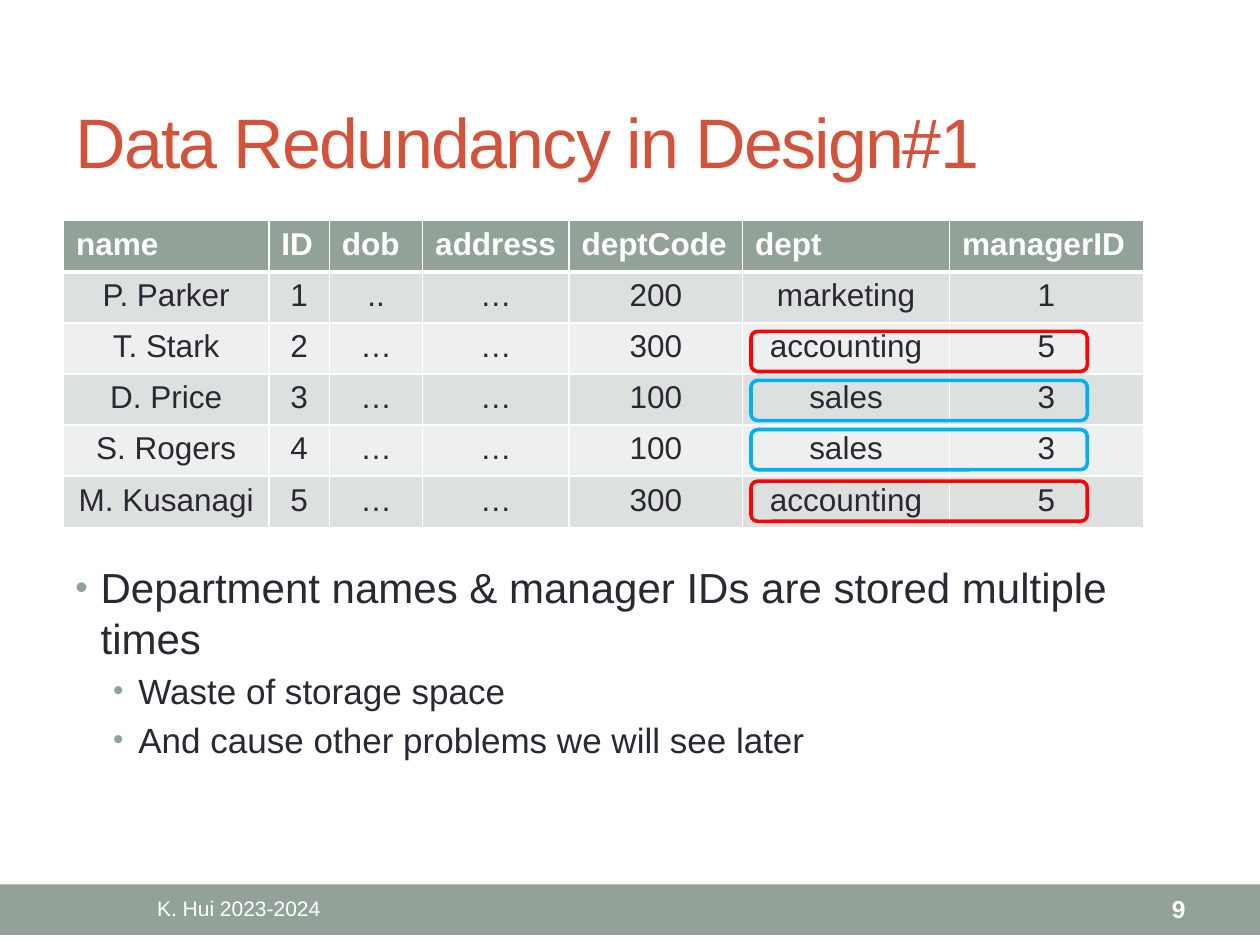
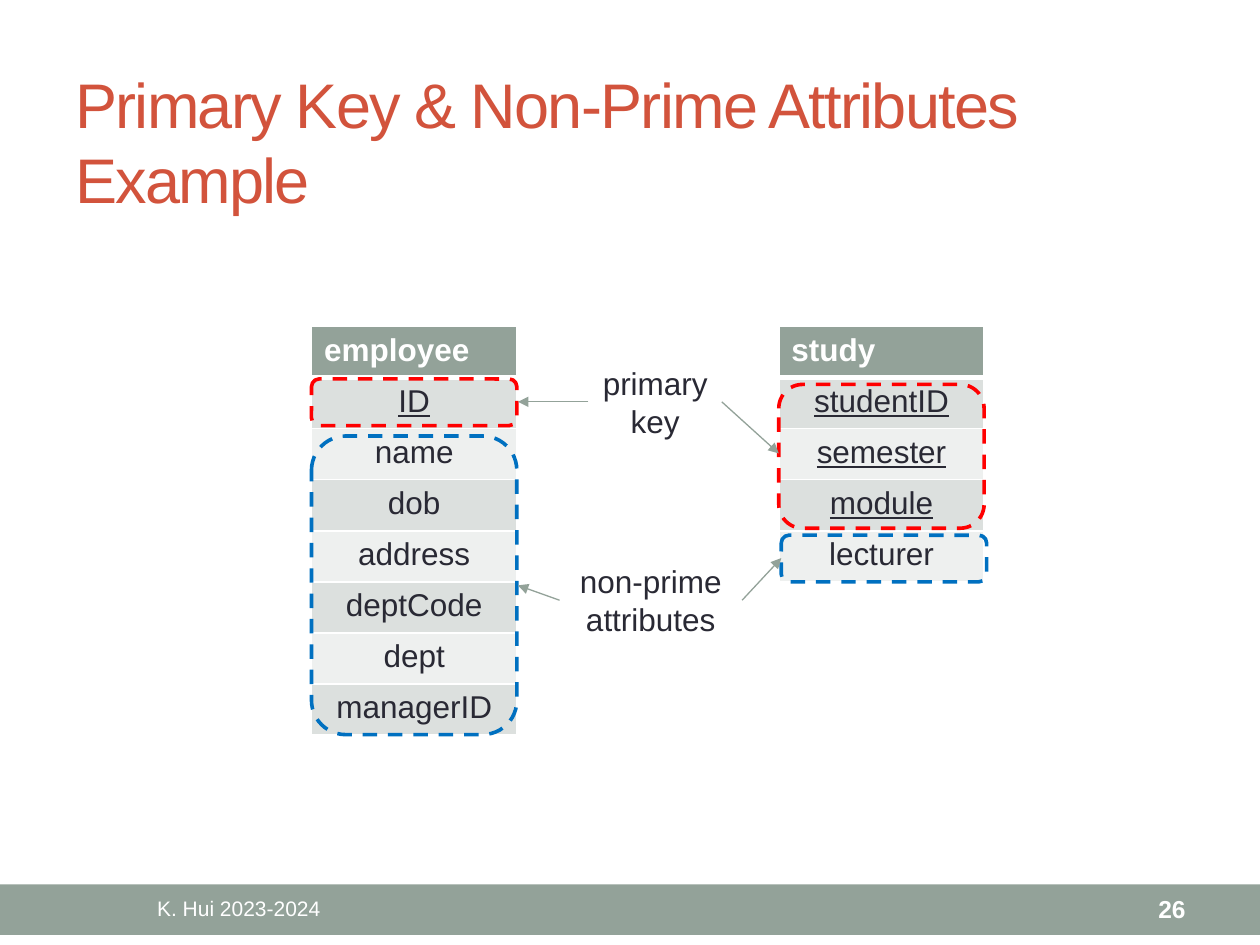
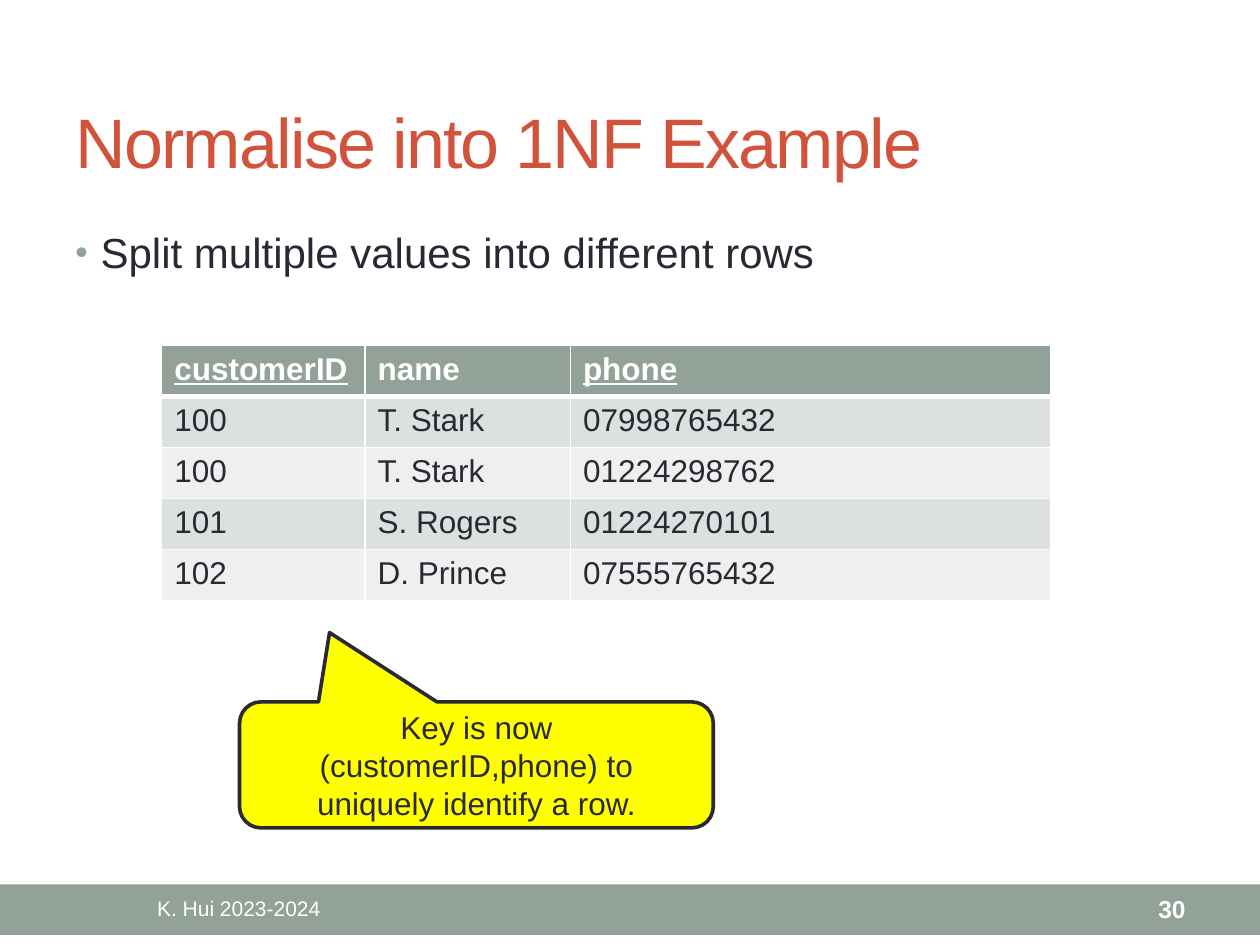
import pptx
import pptx.util
import pptx.dml.color
import pptx.enum.dml
import pptx.enum.shapes
import pptx.enum.text
import pptx.oxml.ns
import lxml.etree

Cm = pptx.util.Cm
Pt = pptx.util.Pt
SHAPE = pptx.enum.shapes.MSO_SHAPE
ALIGN = pptx.enum.text.PP_ALIGN
ANCHOR = pptx.enum.text.MSO_ANCHOR
qn = pptx.oxml.ns.qn

HEX = {
    "sage": "93A299", "title": "D2533C", "text": "292934", "white": "FFFFFF",
    "odd row": "DCE0DE", "even row": "EEF0EF", "red": "FF0000",
    "sky": "00B0F0", "blue": "0070C0", "yellow": "FFFF00",
}
COLOURS = {name: pptx.dml.color.RGBColor.from_string(code) for name, code in HEX.items()}

FORMATS = {
    "title": {"size": Pt(40)},
    "long title": {"size": Pt(36)},
    "footer": {"size": Pt(12)},
    "number": {"size": Pt(14), "bold": True},
    "header": {"size": Pt(18), "bold": True},
    "plain": {"size": Pt(18), "bold": False},
    "level 0": {"size": Pt(24)},
    "level 1": {"size": Pt(20)},
}
ROW_HEIGHT = 1.03
OUTLINE_WIDTH = Pt(2.08)


def write(frame, text, style, colour="text", align=ALIGN.LEFT, anchor=ANCHOR.TOP):
    """Fill the first paragraph of a text frame and return its run."""
    frame.word_wrap = True
    frame.vertical_anchor = anchor
    paragraph = frame.paragraphs[0]
    paragraph.alignment = align
    run = paragraph.add_run()
    run.text = text
    run.font.name = "Arial"
    run.font.color.rgb = COLOURS[colour]
    for name, value in FORMATS[style].items():
        setattr(run.font, name, value)
    return run


def add_table(slide, left, top, widths, rows, body_align, keys=()):
    """Add a banded table whose key attributes are underlined."""
    table = slide.shapes.add_table(
        len(rows), len(widths), Cm(left), Cm(top),
        Cm(sum(widths)), Cm(ROW_HEIGHT * len(rows))).table
    for column, width in zip(table.columns, widths):
        column.width = Cm(width)
    for r, row in enumerate(rows):
        for c, text in enumerate(row):
            cell = table.cell(r, c)
            properties = cell._tc.get_or_add_tcPr()
            for side in ("L", "R", "T", "B"):
                thick = (r, side) in ((0, "B"), (1, "T"))
                border = lxml.etree.SubElement(
                    properties, qn("a:ln" + side), w=str(Pt(3 if thick else 1)))
                fill = lxml.etree.SubElement(border, qn("a:solidFill"))
                lxml.etree.SubElement(fill, qn("a:srgbClr"), val=HEX["white"])
            band = "sage" if r == 0 else "odd row" if r % 2 else "even row"
            cell.fill.solid()
            cell.fill.fore_color.rgb = COLOURS[band]
            if r == 0:
                run = write(cell.text_frame, text, "header", "white")
            else:
                run = write(cell.text_frame, text, "plain", "text", body_align)
            run.font.underline = text in keys


presentation = pptx.Presentation()
presentation.slide_width, presentation.slide_height = Cm(25.4), Cm(19.05)

# Shared frame: band, title, footer and slide number
slides = []
for title, style, number in (
        ("Data Redundancy in Design#1", "title", "9"),
        ("Primary Key & Non-Prime Attributes Example", "long title", "26"),
        ("Normalise into 1NF Example", "title", "30")):
    slide = presentation.slides.add_slide(presentation.slide_layouts[6])
    slides.append(slide)
    band = slide.shapes.add_shape(SHAPE.RECTANGLE, 0, Cm(17.83), Cm(25.4), Cm(1.02))
    band.shadow.inherit = False
    band.fill.solid()
    band.fill.fore_color.rgb = COLOURS["sage"]
    band.line.fill.background()
    for text, text_style, colour, align, box in (
            (title, style, "title", ALIGN.LEFT, (1.27, 1.47, 22.86, 2.74)),
            ("K. Hui 2023-2024", "footer", "white", ALIGN.CENTER, (1.27, 17.86, 7.09, 0.91)),
            (number, "number", "white", ALIGN.RIGHT, (21.18, 17.86, 2.97, 0.91))):
        text_box = slide.shapes.add_textbox(*map(Cm, box))
        run = write(text_box.text_frame, text, text_style, colour, align, ANCHOR.MIDDLE)
        if colour == "title":
            run.font._element.set("spc", "-100")
redundancy, keys_slide, first_form = slides

# Tables
add_table(redundancy, 1.28, 4.45, (4.14, 1.22, 1.88, 2.95, 3.5, 4.17, 3.91), (
    ("name", "ID", "dob", "address", "deptCode", "dept", "managerID"),
    ("P. Parker", "1", "..", "…", "200", "marketing", "1"),
    ("T. Stark", "2", "…", "…", "300", "accounting", "5"),
    ("D. Price", "3", "…", "…", "100", "sales", "3"),
    ("S. Rogers", "4", "…", "…", "100", "sales", "3"),
    ("M. Kusanagi", "5", "…", "…", "300", "accounting", "5")), ALIGN.CENTER)
for left, names, keys in (
        (6.28, ("employee", "ID", "name", "dob", "address", "deptCode", "dept", "managerID"),
         ("ID",)),
        (15.7, ("study", "studentID", "semester", "module", "lecturer"),
         ("studentID", "semester", "module"))):
    add_table(keys_slide, left, 6.58, (4.14,), [(name,) for name in names], ALIGN.CENTER, keys)
add_table(first_form, 3.26, 6.96, (4.1, 4.14, 9.68), (
    ("customerID", "name", "phone"),
    ("100", "T. Stark", "07998765432"),
    ("100", "T. Stark", "01224298762"),
    ("101", "S. Rogers", "01224270101"),
    ("102", "D. Prince", "07555765432")), ALIGN.LEFT, ("customerID", "phone"))

# Bulleted text
for slide, top, height, items in (
        (redundancy, 11.2, 6.32, (
            (0, "Department names & manager IDs are stored multiple times"),
            (1, "Waste of storage space"),
            (1, "And cause other problems we will see later"))),
        (first_form, 4.45, 2.79, ((0, "Split multiple values into different rows"),))):
    frame = slide.shapes.add_textbox(Cm(1.27), Cm(top), Cm(22.86), Cm(height)).text_frame
    frame.word_wrap = True
    for index, (level, text) in enumerate(items):
        paragraph = frame.add_paragraph() if index else frame.paragraphs[0]
        paragraph.level = level
        if index:
            paragraph.space_before = Pt(4)
        properties = paragraph._p.get_or_add_pPr()
        properties.set("marL", str(Cm((0.51, 1.27)[level])))
        properties.set("indent", str(Cm(-0.51)))
        bullet_colour = lxml.etree.SubElement(properties, qn("a:buClr"))
        lxml.etree.SubElement(bullet_colour, qn("a:srgbClr"), val=HEX["sage"])
        lxml.etree.SubElement(properties, qn("a:buSzPct"), val="85000")
        lxml.etree.SubElement(properties, qn("a:buFont"), typeface="Arial")
        lxml.etree.SubElement(properties, qn("a:buChar"), char="•")
        run = paragraph.add_run()
        run.text = text
        run.font.name = "Arial"
        run.font.color.rgb = COLOURS["text"]
        for name, value in FORMATS[f"level {level}"].items():
            setattr(run.font, name, value)

# Outlines around repeated values and around key groups
for slide, colour, box in (
        (redundancy, "red", (15.14, 9.7, 6.78, 0.81)),
        (redundancy, "red", (15.14, 6.68, 6.78, 0.81)),
        (redundancy, "sky", (15.14, 7.67, 6.78, 0.81)),
        (redundancy, "sky", (15.14, 8.66, 6.78, 0.81)),
        (keys_slide, "red", (6.28, 7.64, 4.14, 0.94)),
        (keys_slide, "red", (15.7, 7.75, 4.14, 2.9)),
        (keys_slide, "blue", (6.28, 8.79, 4.14, 6.02)),
        (keys_slide, "blue", (15.75, 10.79, 4.14, 0.94))):
    outline = slide.shapes.add_shape(SHAPE.ROUNDED_RECTANGLE, *map(Cm, box))
    outline.shadow.inherit = False
    outline.fill.background()
    outline.line.color.rgb = COLOURS[colour]
    outline.line.width = OUTLINE_WIDTH
    if slide is keys_slide:
        outline.line.dash_style = pptx.enum.dml.MSO_LINE.DASH

# Labels and the arrows to their groups
for text, box, arrows in (
        ("primary key", (11.86, 7.21, 2.7, 1.8),
         ((11.86, 8.1, 10.44, 8.1), (14.55, 8.1, 15.7, 9.14))),
        ("non-prime attributes", (11.28, 11.2, 3.68, 1.8),
         ((11.28, 12.1, 10.44, 11.8), (14.96, 12.1, 15.75, 11.25)))):
    label = keys_slide.shapes.add_textbox(*map(Cm, box))
    write(label.text_frame, text, "plain", align=ALIGN.CENTER)
    for ends in arrows:
        arrow = keys_slide.shapes.add_connector(
            pptx.enum.shapes.MSO_CONNECTOR.STRAIGHT, *map(Cm, ends))
        arrow.line.color.rgb = COLOURS["sage"]
        arrow.line.width = Pt(0.75)
        lxml.etree.SubElement(arrow.line._get_or_add_ln(), qn("a:tailEnd"), type="triangle")
        lxml.etree.SubElement(arrow._element.spPr, qn("a:effectLst"))

# Callout about the new key
callout = first_form.shapes.add_shape(
    SHAPE.ROUNDED_RECTANGULAR_CALLOUT, Cm(4.83), Cm(14.15), Cm(9.55), Cm(2.54))
callout.shadow.inherit = False
for index, value in enumerate((-0.31, -1.05, 0.17)):
    callout.adjustments[index] = value
callout.fill.solid()
callout.fill.fore_color.rgb = COLOURS["yellow"]
callout.line.color.rgb = COLOURS["text"]
callout.line.width = OUTLINE_WIDTH
write(callout.text_frame, "Key is now (customerID,phone) to uniquely identify a row.",
      "plain", align=ALIGN.CENTER, anchor=ANCHOR.MIDDLE)

presentation.save("out.pptx")
